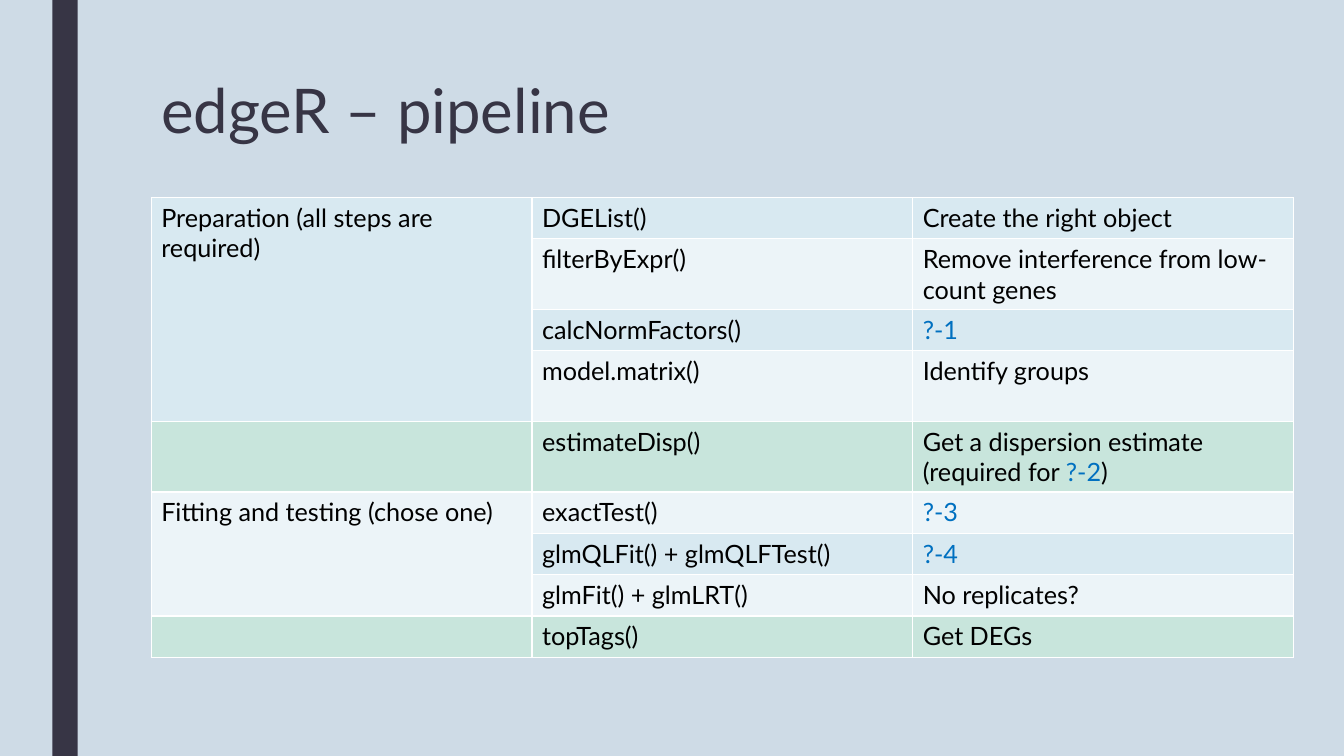
import pptx
import pptx.dml.color
import pptx.enum.shapes
import pptx.enum.text
import pptx.oxml
import pptx.oxml.ns
import pptx.util

Inches = pptx.util.Inches
Pt = pptx.util.Pt
RGBColor = pptx.dml.color.RGBColor

BACKGROUND = RGBColor(0xCE, 0xDB, 0xE6)
DARK = RGBColor(0x37, 0x35, 0x45)
BLACK = RGBColor(0, 0, 0)
ANSWER_BLUE = RGBColor(0x00, 0x70, 0xC0)
BAND = RGBColor(0xD8, 0xE9, 0xF1)
LIGHT = RGBColor(0xEC, 0xF4, 0xF8)
GREEN = RGBColor(0xC8, 0xE5, 0xDC)
WHITE = RGBColor(0xFF, 0xFF, 0xFF)

FONT = "Lato"
BLANK_MARK = "?-"  # marks a gap for the audience to fill in
LOW, HIGH = 0.41, 0.7  # row heights in inches

# Row height, fill, stage, function, purpose in text segments
STEPS = [
    (LOW, BAND, "Preparation (all steps are required)", "DGEList()", ["Create the right object"]),
    (HIGH, LIGHT, "", "filterByExpr()", ["Remove interference from low-count genes"]),
    (LOW, BAND, "", "calcNormFactors()", ["?-1"]),
    (HIGH, LIGHT, "", "model.matrix()", ["Identify groups"]),
    (HIGH, GREEN, "", "estimateDisp()", ["Get a dispersion estimate (required for ", "?-2", ")"]),
    (LOW, LIGHT, "Fitting and testing (chose one)", "exactTest()", ["?-3"]),
    (LOW, BAND, "", "glmQLFit() + glmQLFTest()", ["?-4"]),
    (LOW, LIGHT, "", "glmFit() + glmLRT()", ["No replicates?"]),
    (LOW, GREEN, "", "topTags()", ["Get DEGs"]),
]
STAGE_ROWS = [(0, 3), (5, 7)]  # first and last row of each merged stage


def format_run(run, size, color):
    run.font.name = FONT
    run.font.size = Pt(size)
    run.font.color.rgb = color


def add_side_bar(slide, height):
    bar = slide.shapes.add_shape(
        pptx.enum.shapes.MSO_SHAPE.RECTANGLE, Inches(0.52), 0, Inches(0.25), height)
    bar.shadow.inherit = False
    bar.fill.solid()
    bar.fill.fore_color.rgb = DARK
    bar.line.fill.background()


def add_title(slide, text):
    title = slide.shapes.add_textbox(Inches(1.5), Inches(0.75), Inches(10.5), Inches(1.1))
    frame = title.text_frame
    frame.word_wrap = True
    frame.vertical_anchor = pptx.enum.text.MSO_ANCHOR.TOP
    frame.text = text
    frame.paragraphs[0].line_spacing = 0.89
    format_run(frame.paragraphs[0].runs[0], 44, DARK)


def style_cell(cell, fill):
    """White one-point borders on all sides, then a solid fill."""
    properties = cell._tc.get_or_add_tcPr()
    for side in ("lnL", "lnR", "lnT", "lnB"):
        properties.append(pptx.oxml.parse_xml(
            f'<a:{side} {pptx.oxml.ns.nsdecls("a")} w="{Pt(1)}"><a:solidFill>'
            f'<a:srgbClr val="{WHITE}"/></a:solidFill></a:{side}>'))
    cell.fill.solid()
    cell.fill.fore_color.rgb = fill


def write_cell(cell, segments):
    paragraph = cell.text_frame.paragraphs[0]
    for segment in segments:
        run = paragraph.add_run()
        run.text = segment
        format_run(run, 18, ANSWER_BLUE if segment.startswith(BLANK_MARK) else BLACK)


def add_pipeline_table(slide):
    height = sum(step[0] for step in STEPS)
    table = slide.shapes.add_table(
        len(STEPS), 3, Inches(1.5), Inches(1.96), Inches(11.33), Inches(height)).table
    table.first_row = False
    table.horz_banding = False

    for row, (row_height, fill, stage, function, purpose) in enumerate(STEPS):
        table.rows[row].height = Inches(row_height)
        for column, segments in enumerate(([stage] if stage else [], [function], purpose)):
            cell = table.cell(row, column)
            style_cell(cell, fill)
            write_cell(cell, segments)

    for first, last in STAGE_ROWS:
        table.cell(first, 0).merge(table.cell(last, 0))


def main():
    presentation = pptx.Presentation()
    presentation.slide_width = Inches(13.33)
    presentation.slide_height = Inches(7.5)
    slide = presentation.slides.add_slide(presentation.slide_layouts[6])

    # Background and side bar
    slide.background.fill.solid()
    slide.background.fill.fore_color.rgb = BACKGROUND
    add_side_bar(slide, presentation.slide_height)

    # Title and pipeline steps
    add_title(slide, "edgeR – pipeline")
    add_pipeline_table(slide)

    presentation.save("out.pptx")


if __name__ == "__main__":
    main()
